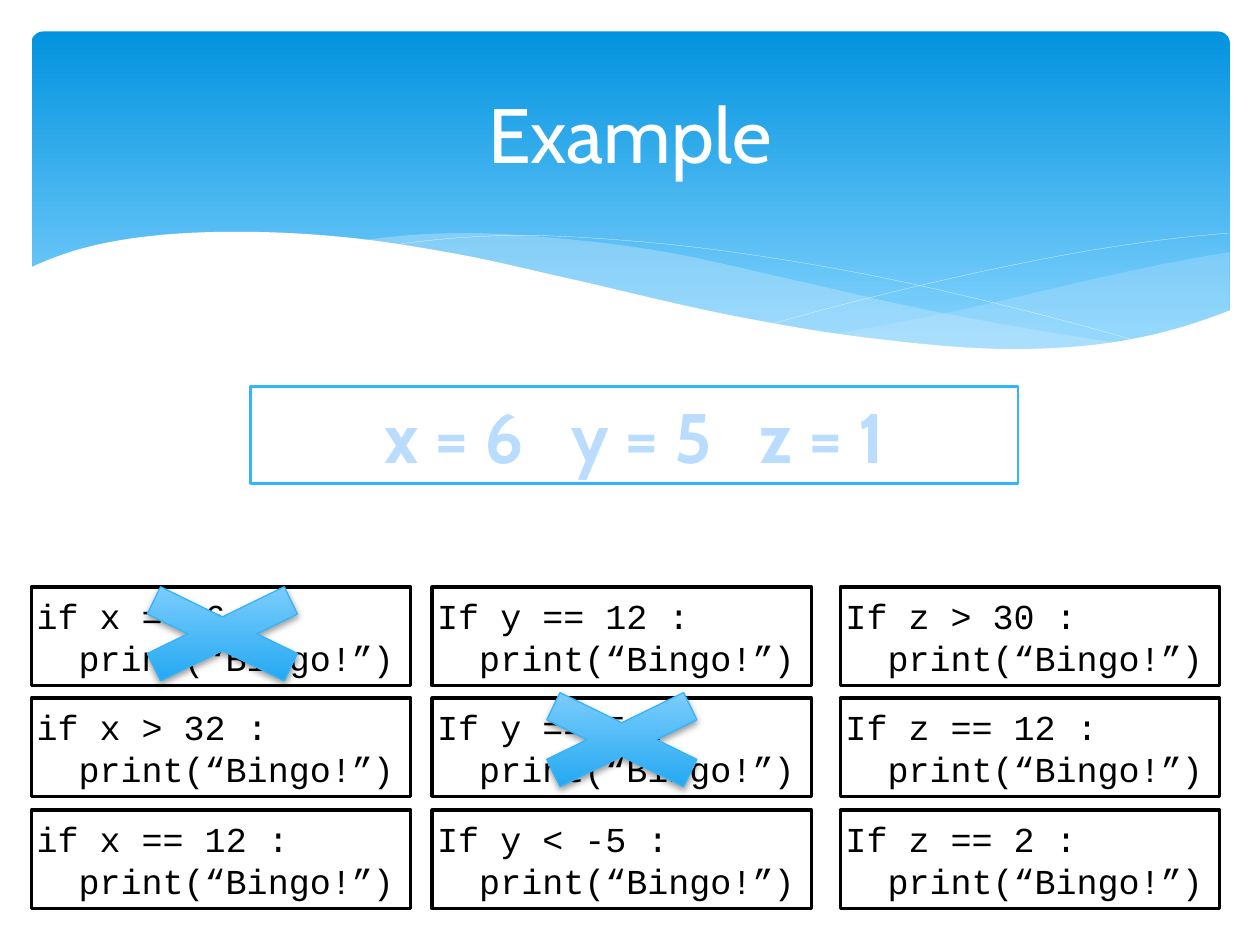
from lxml import etree
from pptx import Presentation
from pptx.dml.color import RGBColor
from pptx.enum.shapes import MSO_SHAPE
from pptx.enum.text import MSO_ANCHOR, PP_ALIGN
from pptx.oxml.ns import qn
from pptx.util import Inches, Pt

RECT = MSO_SHAPE.RECTANGLE
ROUNDED = MSO_SHAPE.ROUNDED_RECTANGLE
MULTIPLY = MSO_SHAPE.MATH_MULTIPLY
MIDDLE = MSO_ANCHOR.MIDDLE
CENTER = PP_ALIGN.CENTER
LEFT = PP_ALIGN.LEFT
CURVE_STEPS = 12


class Theme:
    white = RGBColor(0xFF, 0xFF, 0xFF)
    black = RGBColor(0x00, 0x00, 0x00)
    accent = RGBColor(0x31, 0xB6, 0xFD)
    wave = RGBColor(0xC6, 0xE7, 0xFC)
    banner = (RGBColor(0x02, 0x93, 0xE0), RGBColor(0x83, 0xD3, 0xFE))
    cross = (RGBColor(0x8C, 0xD3, 0xFF), RGBColor(0x14, 0xA2, 0xEF))
    title = ("Cabin", Pt(44), white, False)
    values = ("Cabin", Pt(40), RGBColor(0xBA, 0xDD, 0xFF), True)
    code = ("Courier New", Pt(20), black, False)


def fill_gradient(sp, colors, end):
    sp.fill.gradient()
    sp.fill.gradient_angle = 270
    for stop, color, position in zip(sp.fill.gradient_stops, colors, (0, end)):
        stop.color.rgb = color
        stop.position = position


def smooth_curve(knots):
    pairs = list(zip(knots, knots[1:]))
    secants = [(y1 - y0) / (x1 - x0) for (x0, y0), (x1, y1) in pairs]
    inner = [(a + b) / 2 for a, b in zip(secants, secants[1:])]
    slopes = [2 * secants[0] - inner[0], *inner, 2 * secants[-1] - inner[-1]]
    points = [knots[0]]
    for ((x0, y0), (x1, y1)), m0, m1 in zip(pairs, slopes, slopes[1:]):
        dx = x1 - x0
        for step in range(1, CURVE_STEPS + 1):
            t = step / CURVE_STEPS
            ease = t * t * (3 - 2 * t)
            bend = t * (1 - t) * dx * (m0 * (1 - t) - m1 * t)
            points.append((x0 + t * dx, y0 + ease * (y1 - y0) + bend))
    return points


prs = Presentation()
prs.slide_width = Inches(10)
prs.slide_height = Inches(7.5)
s = prs.slides.add_slide(prs.slide_layouts[5])
texts = []

sp = s.shapes.add_shape(ROUNDED, Inches(0.25), Inches(0.25), Inches(9.51), Inches(2.7))
sp.adjustments[0] = 0.034
sp.shadow.inherit = False
sp.line.fill.background()
fill_gradient(sp, Theme.banner, 0.9)

right_top = smooth_curve([(6.61, 2.65), (7.53, 2.48), (8.61, 2.23), (9.21, 2.1), (9.76, 2)])
right_bottom = smooth_curve([(9.76, 2.47), (9.21, 2.65), (8.63, 2.75), (8.03, 2.78),
                             (7.32, 2.74), (6.61, 2.65)])
middle_top = smooth_curve([(2.86, 1.91), (3.61, 1.85), (4.42, 1.89), (5.28, 2),
                           (6.29, 2.22), (7.41, 2.47), (8.93, 2.73)])
middle_bottom = smooth_curve([(8.93, 2.73), (8.07, 2.78), (7.22, 2.74), (6.01, 2.55),
                              (4.49, 2.22), (3.62, 2.03), (2.86, 1.91)])
falling_line = smooth_curve([(3.09, 1.95), (4.01, 1.87), (5.1, 1.92), (6.08, 2.04),
                             (7.27, 2.26), (9.07, 2.72)])
rising_line = smooth_curve([(6.13, 2.57), (7.2, 2.29), (8.36, 2.04), (9.1, 1.92), (9.75, 1.85)])
front_top = smooth_curve([(0.23, 2.13), (0.59, 1.99), (1.06, 1.89), (1.77, 1.84),
                          (2.71, 1.88), (3.65, 2.02), (4.47, 2.2), (5.79, 2.5),
                          (6.88, 2.68), (8.09, 2.77), (8.99, 2.69), (9.77, 2.46)])
front_bottom = [(9.77, 3.29), (0.23, 3.29)]

waves = [
    (right_top + right_bottom, Theme.wave, 29),
    (middle_top + middle_bottom, Theme.wave, 40),
    (falling_line, None, 100),
    (rising_line, None, 100),
    (front_top + front_bottom, Theme.white, 100),
]
for outline, color, opacity in waves:
    points = [(Inches(x), Inches(y)) for x, y in outline]
    builder = s.shapes.build_freeform(*points[0])
    builder.add_line_segments(points[1:], close=color is not None)
    sp = builder.convert_to_shape()
    sp.shadow.inherit = False
    if color is None:
        sp.fill.background()
        sp.line.color.rgb = Theme.white
        sp.line.width = Pt(0.1)
    else:
        sp.fill.solid()
        sp.fill.fore_color.rgb = color
        sp.line.fill.background()
        clr = sp._element.spPr.find(".//" + qn("a:srgbClr"))
        etree.SubElement(clr, qn("a:alpha"), val=str(opacity * 1000))

title = s.shapes.title
title.left, title.top = Inches(0.5), Inches(0.37)
title.width, title.height = Inches(9), Inches(1.37)
title.text_frame.vertical_anchor = MIDDLE
p = title.text_frame.paragraphs[0]
p.alignment = CENTER
texts.append((p, "Example", Theme.title))
s.shapes._spTree.append(title._element)

sp = s.shapes.add_shape(RECT, Inches(1.99), Inches(3.07), Inches(6.09), Inches(0.77))
sp.shadow.inherit = False
sp.fill.background()
sp.line.color.rgb = Theme.accent
sp.line.width = Pt(1.5)
p = sp.text_frame.paragraphs[0]
p.alignment = CENTER
for text in ("x = 6", " ", "y = 5", " ", "z = 1"):
    texts.append((p, text, Theme.values))

conditions = [
    ("if x == 6 :", "If y == 12 :", "If z > 30 :"),
    ("if x > 32 :", "If y == 5 :", "If z == 12 :"),
    ("if x == 12 :", "If y < -5 :", "If z == 2 :"),
]
lefts = (0.25, 3.43, 6.67)
tops = (4.66, 5.54, 6.43)
for top, row in zip(tops, conditions):
    for left, condition in zip(lefts, row):
        sp = s.shapes.add_shape(RECT, Inches(left), Inches(top), Inches(3.01), Inches(0.78))
        sp.shadow.inherit = False
        sp.fill.background()
        sp.line.color.rgb = Theme.black
        sp.line.width = Pt(2)
        tf = sp.text_frame
        tf.margin_left = tf.margin_right = Inches(0.04)
        tf.vertical_anchor = MIDDLE
        for p, text in ((tf.paragraphs[0], condition), (tf.add_paragraph(), "print(“Bingo!”)")):
            p.alignment = LEFT
            texts.append((p, text, Theme.code))
        p._p.get_or_add_pPr().set("marL", str(Pt(24)))

for p, text, (font, size, color, bold) in texts:
    r = p.add_run()
    r.text = text
    r.font.name = font
    r.font.size = size
    r.font.bold = bold
    r.font.color.rgb = color
    if text == " ":
        r._r.get_or_add_rPr().set("spc", "1800")

for left, top in ((0.72, 4.52), (3.89, 5.36)):
    sp = s.shapes.add_shape(MULTIPLY, Inches(left), Inches(top), Inches(2.09), Inches(1.02))
    fill_gradient(sp, Theme.cross, 1)
    sp.line.color.rgb = Theme.accent
    sp.line.width = Pt(0.75)
    sp.shadow.inherit = False
    effects = sp._element.spPr.find(qn("a:effectLst"))
    shadow = etree.SubElement(effects, qn("a:outerShdw"), blurRad=str(Pt(4)),
                              dist=str(Pt(2)), dir="5400000", rotWithShape="0")
    clr = etree.SubElement(shadow, qn("a:srgbClr"), val=str(Theme.black))
    etree.SubElement(clr, qn("a:alpha"), val="38000")

prs.save("out.pptx")
